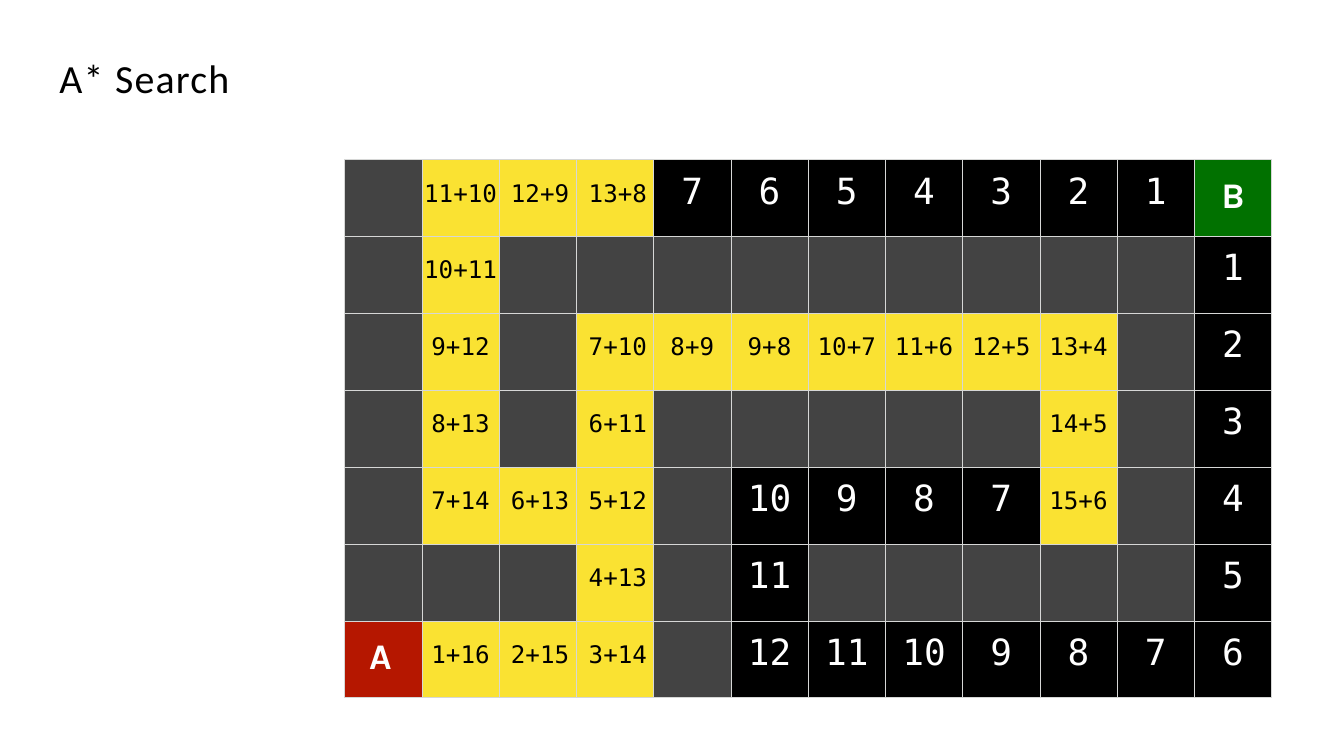
import collections
import dataclasses

import lxml.etree
import pptx
import pptx.dml.color
import pptx.enum.text
import pptx.oxml.ns
import pptx.util

PX = 9144  # EMU, 100 px to the inch

Box = collections.namedtuple("Box", "left top width height")
CellStyle = collections.namedtuple("CellStyle", "fill color font size bold spacing top")


@dataclasses.dataclass(frozen=True)
class Theme:
    background: str = "FFFFFF"
    text: str = "000000"
    grid_line: str = "D6D7D6"
    grid_line_width: float = 1
    title_font: str = "Calibri"
    title_size: float = 47
    wall: str = "434343"
    start: CellStyle = CellStyle("B51700", "FFFFFF", "Karla", 42.5, True, 0, 25)
    goal: CellStyle = CellStyle("017100", "FFFFFF", "Karla", 42.5, True, 0, 26)
    explored: CellStyle = CellStyle("FAE232", "000000", "DejaVu Sans Mono", 28.5, False, 0.1, 33)
    heuristic: CellStyle = CellStyle("000000", "FFFFFF", "DejaVu Sans Mono", 42.5, False, 0, 18)


THEME = Theme()
PAGE = Box(0, 0, 2199, 1237)
TITLE_BOX = Box(96, 86, 315, 81)
MAZE_BOX = Box(564, 261, 1517, 881)

WALL = "#"
MAZE = [row.split() for row in (
    "# 11+10 12+9 13+8 7 6 5 4 3 2 1 B",
    "# 10+11 # # # # # # # # # 1",
    "# 9+12 # 7+10 8+9 9+8 10+7 11+6 12+5 13+4 # 2",
    "# 8+13 # 6+11 # # # # # 14+5 # 3",
    "# 7+14 6+13 5+12 # 10 9 8 7 15+6 # 4",
    "# # # 4+13 # 11 # # # # # 5",
    "A 1+16 2+15 3+14 # 12 11 10 9 8 7 6",
)]
LEFT_INDENTS = {0: 40, 2: 19, 3: 20}  # columns set flush left


def px(length):
    return pptx.util.Emu(round(length * PX))


def rgb(color):
    return pptx.dml.color.RGBColor.from_string(color)


def add_run(para, text, font, size, color, bold=False, spacing=0.0):
    """Add one run; spacing is the letter spacing in points."""
    run = para.add_run()
    run.text = text
    run.font.name = font
    run.font.size = pptx.util.Pt(size)
    run.font.bold = bold
    run.font.color.rgb = rgb(color)
    run.font._element.set("spc", str(round(spacing * 100)))


def add_title(page, box):
    shape = page.shapes.add_textbox(*map(px, box))
    frame = shape.text_frame
    frame.word_wrap = True
    frame.vertical_anchor = pptx.enum.text.MSO_ANCHOR.MIDDLE
    frame.margin_left = px(1)
    frame.margin_top = px(1)
    frame.margin_right = frame.margin_bottom = 0
    para = frame.paragraphs[0]
    for text, spacing in (("A* ", 1.5), ("Search", 1.4)):
        add_run(para, text, THEME.title_font, THEME.title_size, THEME.text, spacing=spacing)


def style_for(label):
    if label == "A":
        return THEME.start
    if label == "B":
        return THEME.goal
    return THEME.explored if "+" in label else THEME.heuristic


def set_borders(cell):
    properties = cell._tc.get_or_add_tcPr()
    qn = pptx.oxml.ns.qn
    for side in ("a:lnL", "a:lnR", "a:lnT", "a:lnB"):
        line = lxml.etree.SubElement(
            properties, qn(side), w=str(pptx.util.Pt(THEME.grid_line_width)))
        fill = lxml.etree.SubElement(line, qn("a:solidFill"))
        lxml.etree.SubElement(fill, qn("a:srgbClr"), val=THEME.grid_line)


def fill_cell(cell, label, column):
    set_borders(cell)
    cell.fill.solid()
    if label == WALL:
        cell.fill.fore_color.rgb = rgb(THEME.wall)
        return
    style = style_for(label)
    cell.fill.fore_color.rgb = rgb(style.fill)
    cell.vertical_anchor = pptx.enum.text.MSO_ANCHOR.TOP
    cell.margin_left = px(LEFT_INDENTS.get(column, 0))
    cell.margin_top = px(style.top)
    cell.margin_right = cell.margin_bottom = 0
    para = cell.text_frame.paragraphs[0]
    align = pptx.enum.text.PP_ALIGN
    para.alignment = align.LEFT if column in LEFT_INDENTS else align.CENTER
    add_run(para, label, style.font, style.size, style.color, style.bold, style.spacing)


def add_maze(page, box):
    """Draw the search grid: walls, explored path costs and remaining distances."""
    row_count, column_count = len(MAZE), len(MAZE[0])
    table = page.shapes.add_table(row_count, column_count, *map(px, box)).table
    table.first_row = False
    table.horz_banding = False
    for column in table.columns:
        column.width = px(box.width / column_count)
    for row in table.rows:
        row.height = px(box.height / row_count)
    for row_index, labels in enumerate(MAZE):
        for column_index, label in enumerate(labels):
            fill_cell(table.cell(row_index, column_index), label, column_index)


def main():
    deck = pptx.Presentation()
    deck.slide_width = px(PAGE.width)
    deck.slide_height = px(PAGE.height)
    page = deck.slides.add_slide(deck.slide_layouts[6])
    page.background.fill.solid()
    page.background.fill.fore_color.rgb = rgb(THEME.background)
    add_maze(page, MAZE_BOX)
    add_title(page, TITLE_BOX)
    deck.save("out.pptx")


if __name__ == "__main__":
    main()
